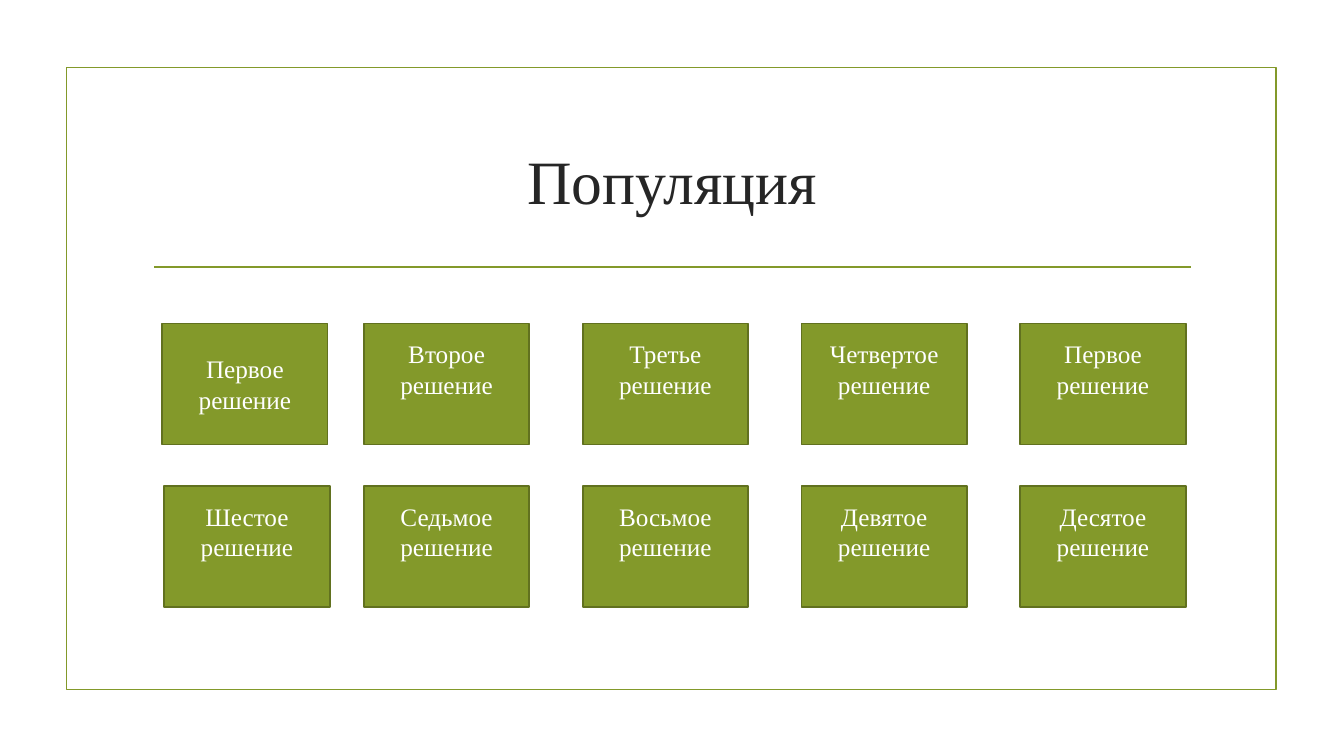
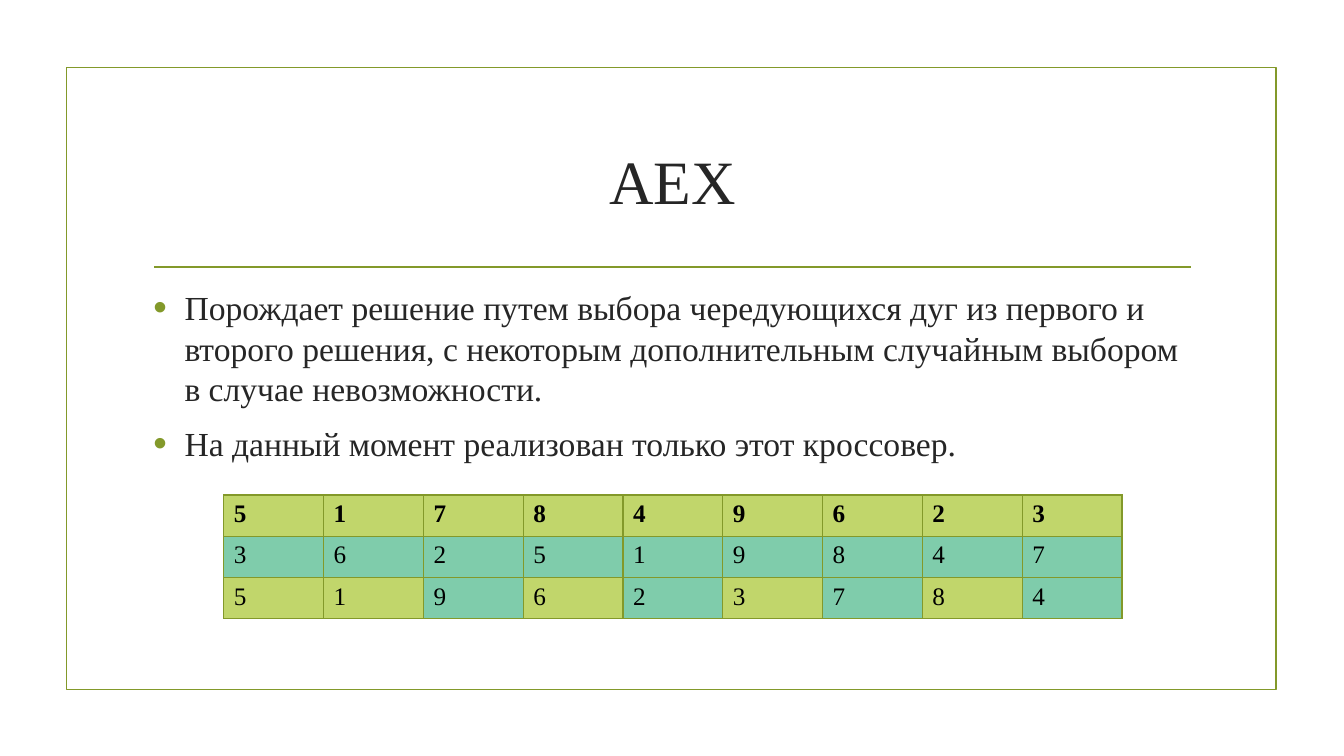
from lxml import etree
from pptx import Presentation
from pptx.dml.color import RGBColor
from pptx.enum.shapes import MSO_CONNECTOR, MSO_SHAPE
from pptx.enum.text import MSO_ANCHOR, MSO_AUTO_SIZE, PP_ALIGN
from pptx.oxml.ns import qn
from pptx.util import Inches, Pt

RECT = MSO_SHAPE.RECTANGLE
STRAIGHT = MSO_CONNECTOR.STRAIGHT
MIDDLE, TOP = MSO_ANCHOR.MIDDLE, MSO_ANCHOR.TOP
LEFT, CENTER = PP_ALIGN.LEFT, PP_ALIGN.CENTER
NO_FIT = MSO_AUTO_SIZE.NONE
LAYOUT_BODY, LAYOUT_TITLE = 1, 5

FONT = "Times New Roman"
GREEN, DARK_GREEN = "83992A", "61711F"
LIME, MINT = "C1D66B", "7FCCAB"
INK, BLACK, WHITE = "262626", "000000", "FFFFFF"


def rgb(value):
    return RGBColor.from_string(value)


def place(shape, left, top, width, height):
    shape.left, shape.top = Inches(left), Inches(top)
    shape.width, shape.height = Inches(width), Inches(height)


class Deck:
    """Holds the shared style and the current slide."""

    def __init__(self):
        self.prs = Presentation()
        self.prs.slide_width = Inches(13.33)
        self.prs.slide_height = Inches(7.5)
        self.s = None

    def slide(self, title, layout):
        self.s = self.prs.slides.add_slide(self.prs.slide_layouts[layout])
        # Frame and rule under the title
        self.box(0.66, 0.67, 12, 6.17, line=GREEN)
        self.rule(1.53, 11.81, 2.65)
        # Title
        sp = self.s.shapes.title
        place(sp, 1.42, 1.07, 10.5, 1.43)
        tf = sp.text_frame
        tf.text = title
        tf.auto_size = NO_FIT
        tf.vertical_anchor = MIDDLE
        self.style(tf, 44, INK, CENTER)

    def style(self, tf, size, color, align=LEFT, bold=False):
        for p in tf.paragraphs:
            p.alignment = align
            for r in p.runs:
                r.font.name = FONT
                r.font.size = Pt(size)
                r.font.bold = bold
                r.font.color.rgb = rgb(color)

    def box(self, left, top, width, height, line, fill=None):
        sp = self.s.shapes.add_shape(RECT, Inches(left), Inches(top),
                                     Inches(width), Inches(height))
        sp.shadow.inherit = False
        if fill:
            sp.fill.solid()
            sp.fill.fore_color.rgb = rgb(fill)
        else:
            sp.fill.background()
        sp.line.color.rgb = rgb(line)
        sp.line.width = Pt(1.25)
        return sp

    def rule(self, left, right, top):
        line = self.s.shapes.add_connector(STRAIGHT, Inches(left), Inches(top),
                                           Inches(right), Inches(top))
        line.line.color.rgb = rgb(GREEN)
        line.line.width = Pt(1.25)
        etree.SubElement(line._element.spPr, qn("a:effectLst"))

    def card(self, text, left, top, bottom_inset):
        sp = self.box(left, top, 1.64, 1.2, DARK_GREEN, GREEN)
        tf = sp.text_frame
        tf.text = text
        tf.word_wrap = True
        tf.vertical_anchor = MIDDLE
        tf.margin_bottom = Inches(bottom_inset)
        self.style(tf, 18, WHITE, CENTER)

    def bullets(self, items):
        sp = self.s.placeholders[1]
        place(sp, 1.42, 2.8, 10.5, 3.63)
        tf = sp.text_frame
        tf.text = "\n".join(items)
        tf.auto_size = NO_FIT
        tf.vertical_anchor = TOP
        self.style(tf, 24, INK)
        for p in tf.paragraphs:
            p.space_before, p.space_after = Pt(4.8), Pt(6)
            pPr = p._p.get_or_add_pPr()
            pPr.set("marL", str(Inches(0.31)))
            pPr.set("indent", str(-Inches(0.31)))
            color = etree.SubElement(pPr, qn("a:buClr"))
            etree.SubElement(color, qn("a:srgbClr"), val=GREEN)
            etree.SubElement(pPr, qn("a:buSzPct"), val="115000")
            etree.SubElement(pPr, qn("a:buFont"), typeface="Arial")
            etree.SubElement(pPr, qn("a:buChar"), char="•")

    def table(self, rows, fills, left, top, col_width, row_height):
        cols = len(rows[0])
        tbl = self.s.shapes.add_table(
            len(rows), cols, Inches(left), Inches(top),
            Inches(col_width * cols), Inches(row_height * len(rows))).table
        for i, row in enumerate(rows):
            for j, text in enumerate(row):
                cell = tbl.cell(i, j)
                cell.text_frame.text = text
                self.style(cell.text_frame, 18, BLACK, bold=i == 0)
                self.borders(cell)
                cell.fill.solid()
                cell.fill.fore_color.rgb = rgb(fills[i][j])

    def borders(self, cell):
        tcPr = cell._tc.get_or_add_tcPr()
        for side in ("lnL", "lnR", "lnT", "lnB"):
            ln = etree.SubElement(tcPr, qn("a:" + side), w=str(Pt(1)))
            fill = etree.SubElement(ln, qn("a:solidFill"))
            etree.SubElement(fill, qn("a:srgbClr"), val=GREEN)


def population(deck):
    deck.slide("Популяция", LAYOUT_TITLE)
    ordinals = [
        ["Первое", "Второе", "Третье", "Четвертое", "Первое"],
        ["Шестое", "Седьмое", "Восьмое", "Девятое", "Десятое"],
    ]
    # The first column stands apart from the even grid
    first_lefts = [1.61, 1.63]
    for i, row in enumerate(ordinals):
        lefts = [first_lefts[i]] + [3.61 + 2.17 * j for j in range(4)]
        for j, (ordinal, left) in enumerate(zip(row, lefts)):
            # Text sits half a line high on all cards but the first
            inset = 0.05 if i == j == 0 else 0.35
            deck.card(ordinal + " решение", left, 3.21 + 1.61 * i, inset)


def crossover(deck):
    deck.slide("АЕХ", LAYOUT_BODY)
    deck.bullets([
        "Порождает решение путем выбора чередующихся дуг из первого и второго "
        "решения, с некоторым дополнительным случайным выбором в случае "
        "невозможности.",
        "На данный момент реализован только этот кроссовер.",
    ])
    # Two parents and their child, coloured by the parent of each gene
    genes = ["517849623", "362519847", "519623784"]
    parents = ["111111111", "222222222", "112121212"]
    colors = {"1": LIME, "2": MINT}
    fills = [[colors[parent] for parent in row] for row in parents]
    deck.table(genes, fills, 2.22, 4.91, 0.99, 0.41)


def main():
    deck = Deck()
    population(deck)
    crossover(deck)
    deck.prs.save("out.pptx")


if __name__ == "__main__":
    main()
